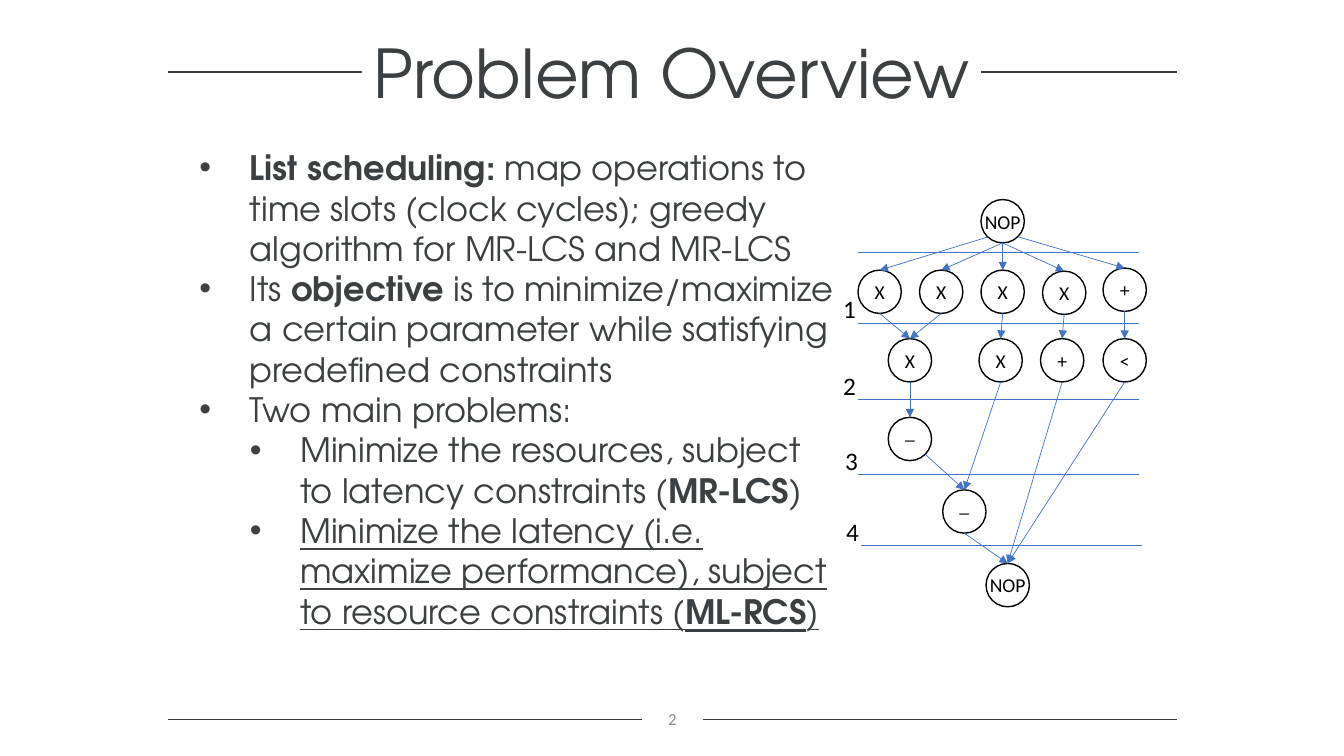
"""Build the Problem Overview slide with its list scheduling graph."""
from lxml import etree
from pptx import Presentation
from pptx import util as u
from pptx.dml.color import RGBColor
from pptx.enum import shapes, text
from pptx.oxml import ns

INK = RGBColor(0x3C, 0x40, 0x43)
RULE = RGBColor(0x3B, 0x38, 0x38)
GRAY = RGBColor(0x8C, 0x8C, 0x8C)
BLUE = RGBColor(0x44, 0x72, 0xC4)
BLACK = RGBColor(0, 0, 0)
WHITE = RGBColor(0xFF, 0xFF, 0xFF)

HEADING = {"name": "TeX Gyre Adventor", "size": u.Pt(48), "color": INK}
BODY = {"name": "TeX Gyre Adventor", "size": u.Pt(24), "color": INK}
FOOTER = {"name": "Calibri", "size": u.Pt(12), "color": GRAY}
LABEL = {"name": "Calibri", "size": u.Pt(14), "color": BLACK}
STEP = {"name": "Calibri", "size": u.Pt(18), "color": BLACK}
PLAIN, BOLD = {"bold": False}, {"bold": True}
LINED = {"bold": False, "underline": True}
BOLD_LINED = {"bold": True, "underline": True}

BULLETS = [
    (0, [("List scheduling: ", BOLD),
         ("map operations to time slots (clock cycles); greedy algorithm for MR-LCS and MR-LCS", PLAIN)]),
    (0, [("Its ", PLAIN), ("objective ", BOLD),
         ("is to minimize/maximize a certain parameter while satisfying predefined constraints", PLAIN)]),
    (0, [("Two main problems:", PLAIN)]),
    (1, [("Minimize the resources, subject to latency constraints (", PLAIN),
         ("MR-LCS", BOLD), (")", PLAIN)]),
    (1, [("Minimize the latency (i.e. maximize performance), subject to resource constraints (", LINED),
         ("ML-RCS", BOLD_LINED), (")", LINED)]),
]
PAGE_RULES = [(1.67, 11.67, 0.71, 1.5), (1.67, 6.37, 7.14, 0.75), (6.97, 11.67, 7.14, 0.75)]
STEP_LINES = [(8.51, 2.5), (8.51, 3.21), (8.51, 3.96), (8.51, 4.71), (8.54, 5.41)]
STEP_LENGTH = 2.79
STEPS = [("1", 8.26, 2.86), ("2", 8.26, 3.62), ("3", 8.28, 4.37), ("4", 8.29, 5.07)]
NODE = 0.43
NODES = {
    "start": ("NOP", 9.73, 1.98),
    "a1": ("X", 8.51, 2.68), "a2": ("X", 9.12, 2.68), "a3": ("X", 9.73, 2.68),
    "a4": ("X", 10.34, 2.69), "a5": ("+", 10.94, 2.66),
    "b1": ("X", 8.81, 3.36), "b3": ("X", 9.71, 3.36),
    "b4": ("+", 10.32, 3.36), "b5": ("<", 10.94, 3.36),
    "c1": ("_", 8.81, 4.14), "d1": ("_", 9.35, 4.86),
    "end": ("NOP", 9.78, 5.59),
}
EDGES = [
    ("start", "left", "a1"), ("start", "bottom", "a2"), ("start", "bottom", "a3"),
    ("start", "bottom", "a4"), ("start", "right", "a5"),
    ("a1", "bottom", "b1"), ("a2", "bottom", "b1"), ("a3", "bottom", "b3"),
    ("a4", "bottom", "b4"), ("a5", "bottom", "b5"),
    ("b1", "bottom", "c1"), ("b3", "bottom", "d1"), ("c1", "right", "d1"),
    ("d1", "bottom", "end"), ("b4", "bottom", "end"), ("b5", "bottom", "end"),
]
EXITS = {"left": (0.07, 0.37), "bottom": (NODE / 2, NODE), "right": (0.37, 0.37)}
LABEL_WIDTH, LABEL_HEIGHT = 0.61, 0.34
LABEL_RISE = {"_": 0.07}


def write(para, words, *formats):
    span = para.add_run()
    span.text = words
    for values in formats:
        for name, value in values.items():
            if name == "color":
                span.font.color.rgb = value
            else:
                setattr(span.font, name, value)


def add_text(page, place, words, values, **frame_values):
    box = page.shapes.add_textbox(*map(u.Inches, place))
    frame = box.text_frame
    settings = {"word_wrap": True, "vertical_anchor": text.MSO_ANCHOR.MIDDLE, **frame_values}
    for name, value in settings.items():
        setattr(frame, name, value)
    para = frame.paragraphs[0]
    para.alignment = text.PP_ALIGN.CENTER
    write(para, words, values)


def add_line(page, start, end, color, weight):
    line = page.shapes.add_connector(shapes.MSO_CONNECTOR.STRAIGHT, *map(u.Inches, start + end))
    line.line.color.rgb = color
    line.line.width = u.Pt(weight)
    etree.SubElement(line._element.spPr, ns.qn("a:effectLst"))
    return line


def add_bullets(page):
    box = page.shapes.add_textbox(*map(u.Inches, (1.88, 1.41, 6.52, 5.35)))
    frame = box.text_frame
    frame.word_wrap = True
    for index, (level, spans) in enumerate(BULLETS):
        para = frame.paragraphs[0] if index == 0 else frame.add_paragraph()
        para.level = level
        props = para._p.get_or_add_pPr()
        props.set("marL", str(u.Inches(0.5 * (level + 1))))
        props.set("indent", str(u.Inches(-0.5)))
        color = etree.SubElement(props, ns.qn("a:buClr"))
        etree.SubElement(color, ns.qn("a:srgbClr"), val=str(INK))
        etree.SubElement(props, ns.qn("a:buFont"), typeface="Arial")
        etree.SubElement(props, ns.qn("a:buChar"), char="•")
        for words, values in spans:
            write(para, words, BODY, values)


def add_title(page):
    box = page.shapes.add_shape(shapes.MSO_SHAPE.RECTANGLE, *map(u.Inches, (3.59, 0.17, 6.14, 1.08)))
    box.shadow.inherit = False
    box.fill.solid()
    box.fill.fore_color.rgb = WHITE
    box.line.fill.background()
    box.text_frame.word_wrap = True
    box.text_frame.vertical_anchor = text.MSO_ANCHOR.MIDDLE
    para = box.text_frame.paragraphs[0]
    para.alignment = text.PP_ALIGN.CENTER
    write(para, "Problem Overview", HEADING)


def add_graph(page):
    for left, top in STEP_LINES:
        add_line(page, (left, top), (left + STEP_LENGTH, top), BLUE, 0.5)
    circles = {}
    for key, (_, left, top) in NODES.items():
        circle = page.shapes.add_shape(shapes.MSO_SHAPE.OVAL, *map(u.Inches, (left, top, NODE, NODE)))
        circle.shadow.inherit = False
        circle.fill.background()
        circle.line.color.rgb = BLACK
        circle.line.width = u.Pt(1)
        circles[key] = circle
    for source, side, target in EDGES:
        _, left, top = NODES[source]
        _, target_left, target_top = NODES[target]
        across, down = EXITS[side]
        arrow = add_line(page, (left + across, top + down),
                         (target_left + NODE / 2, target_top), BLUE, 0.5)
        arrow.end_connect(circles[target], 0)
        etree.SubElement(arrow.line._get_or_add_ln(), ns.qn("a:tailEnd"), type="triangle")
    for label, left, top in NODES.values():
        place = (left + (NODE - LABEL_WIDTH) / 2,
                 top + (NODE - LABEL_HEIGHT) / 2 - LABEL_RISE.get(label, 0),
                 LABEL_WIDTH, LABEL_HEIGHT)
        add_text(page, place, label, LABEL)
    for number, left, top in STEPS:
        add_text(page, (left, top, 0.33, 0.4), number, STEP, word_wrap=False)


def main():
    deck = Presentation()
    deck.slide_width, deck.slide_height = u.Inches(13.33), u.Inches(7.5)
    page = deck.slides.add_slide(deck.slide_layouts[6])
    add_text(page, (6.37, 6.85, 0.6, 0.57), "2", FOOTER)
    for left, right, top, weight in PAGE_RULES:
        add_line(page, (left, top), (right, top), RULE, weight)
    add_title(page)
    add_bullets(page)
    add_graph(page)
    deck.save("out.pptx")


if __name__ == "__main__":
    main()
